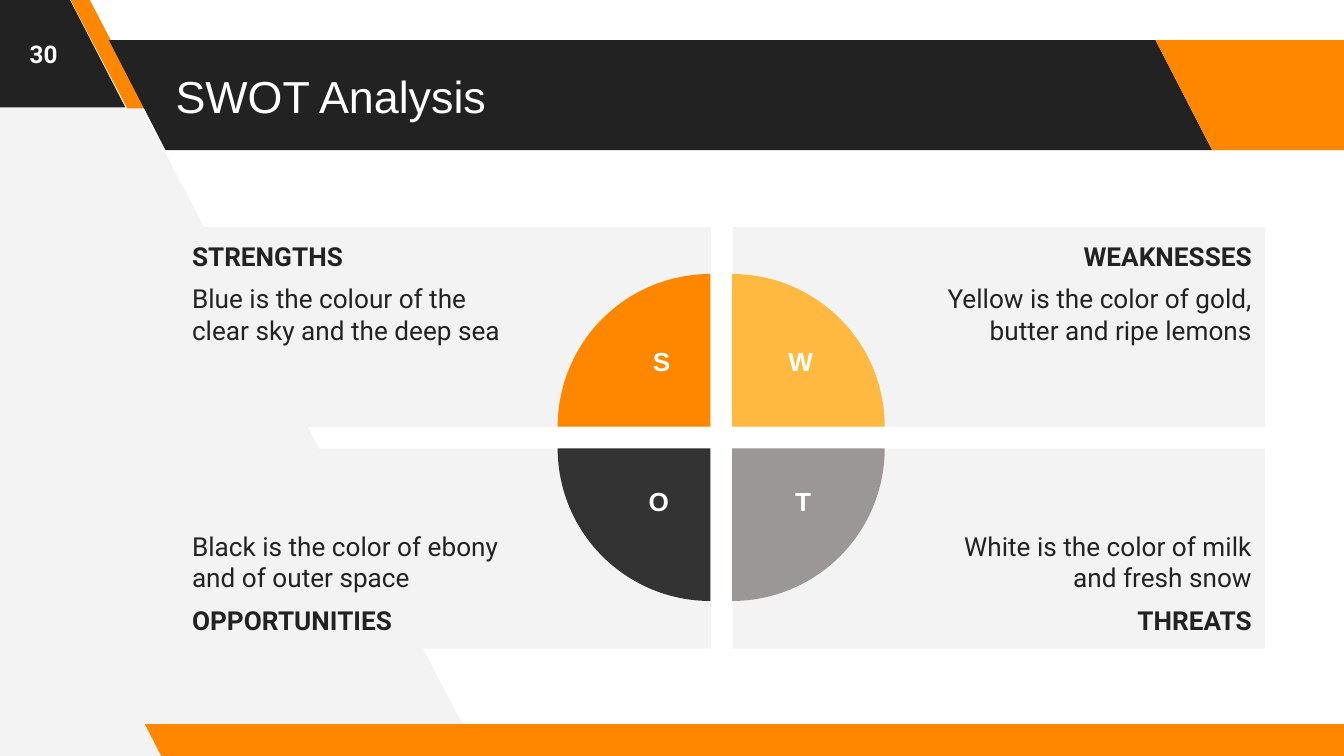
from dataclasses import dataclass

from pptx import Presentation
from pptx.dml.color import RGBColor
from pptx.enum.shapes import MSO_SHAPE
from pptx.enum.text import MSO_ANCHOR, PP_ALIGN
from pptx.util import Cm, Pt

PARALLELOGRAM = MSO_SHAPE.PARALLELOGRAM
PIE = MSO_SHAPE.PIE
RECTANGLE = MSO_SHAPE.RECTANGLE
TOP, MIDDLE, BOTTOM = MSO_ANCHOR.TOP, MSO_ANCHOR.MIDDLE, MSO_ANCHOR.BOTTOM
LEFT, CENTER, RIGHT = PP_ALIGN.LEFT, PP_ALIGN.CENTER, PP_ALIGN.RIGHT

COLORS = {
    "white": "FFFFFF",
    "light": "F3F3F3",
    "dark": "222222",
    "orange": "FF8700",
    "yellow": "FFB840",
    "gray": "9B9796",
    "charcoal": "333333",
}

PANEL_LEFT, PANEL_TOP = 3.38, 4.29
PANEL_WIDTH, PANEL_HEIGHT = 10.06, 3.78
PIE_LEFT, PIE_TOP, PIE_SIZE = 10.54, 5.18, 5.77
GAP = 0.41
INSET, PIE_INSET = 0.25, 3.81


@dataclass
class Box:
    left: float
    top: float
    width: float
    height: float

    def lengths(self) -> tuple:
        return Cm(self.left), Cm(self.top), Cm(self.width), Cm(self.height)


@dataclass
class Band:
    box: Box
    color: str
    slant: float = 0.515


@dataclass
class Quadrant:
    letter: str
    heading: str
    body: str
    column: int
    row: int
    color: str
    rotation: int
    letter_box: Box


BANDS = [
    Band(Box(-2.51, -0.05, 4.88, 2.08), "dark"),
    Band(Box(1.32, -0.03, 1.45, 2.08), "orange", 0.75),
    Band(Box(2.06, 0.76, 20.85, 2.08), "dark"),
    Band(Box(21.84, 0.76, 4.88, 2.08), "orange"),
    Band(Box(2.74, 13.69, 23.24, 0.64), "orange"),
]

QUADRANTS = [
    Quadrant("S", "STRENGTHS", "Blue is the colour of the clear sky and the deep sea",
             0, 0, "orange", 0, Box(12.09, 6.4, 0.69, 1.09)),
    Quadrant("W", "WEAKNESSES", "Yellow is the color of gold, butter and ripe lemons",
             1, 0, "yellow", 90, Box(14.5, 6.4, 1.27, 1.09)),
    Quadrant("T", "THREATS", "White is the color of milk and fresh snow",
             1, 1, "gray", 180, Box(14.78, 9.04, 0.74, 1.07)),
    Quadrant("O", "OPPORTUNITIES", "Black is the color of ebony and of outer space",
             0, 1, "charcoal", 270, Box(12.01, 9.04, 0.69, 1.09)),
]


def paint(shape, color: str) -> None:
    shape.fill.solid()
    shape.fill.fore_color.rgb = RGBColor.from_string(COLORS[color])
    shape.line.fill.background()
    shape.shadow.inherit = False


def add_filled_shape(slide, kind, box: Box, color: str, adjustments=()):
    shape = slide.shapes.add_shape(kind, *box.lengths())
    paint(shape, color)
    for index, value in enumerate(adjustments):
        shape.adjustments[index] = value
    return shape


def set_frame(shape, anchor=TOP, left=INSET, right=INSET, vertical=INSET):
    frame = shape.text_frame
    frame.word_wrap = True
    frame.vertical_anchor = anchor
    frame.margin_left, frame.margin_right = Cm(left), Cm(right)
    frame.margin_top = frame.margin_bottom = Cm(vertical)
    return frame


def write(paragraph, text: str, *, size=14, font="Roboto", color="dark",
          bold=False, align=LEFT, before=0, after=0) -> None:
    paragraph.text = text
    paragraph.alignment = align
    paragraph.space_before, paragraph.space_after = Pt(before), Pt(after)
    paragraph.font.size = Pt(size)
    paragraph.font.name = font
    paragraph.font.bold = bold
    paragraph.font.color.rgb = RGBColor.from_string(COLORS[color])


def add_label(slide, box: Box, text: str, anchor=TOP, vertical=INSET, **text_format) -> None:
    frame = set_frame(slide.shapes.add_textbox(*box.lengths()), anchor, vertical=vertical)
    write(frame.paragraphs[0], text, color="white", **text_format)


def add_background(slide) -> None:
    builder = slide.shapes.build_freeform(Cm(9.04), Cm(14.27))
    corners = [(1.57, -0.1), (-0.15, -0.1), (-0.05, 14.38)]
    builder.add_line_segments([(Cm(x), Cm(y)) for x, y in corners], close=True)
    paint(builder.convert_to_shape(), "light")


def add_band(slide, band: Band) -> None:
    shape = add_filled_shape(slide, PARALLELOGRAM, band.box, band.color, [band.slant])
    shape._element.spPr.xfrm.set("flipH", "1")


def add_panel(slide, quadrant: Quadrant) -> None:
    """Add the text panel, with its heading on the outer edge."""
    box = Box(PANEL_LEFT + quadrant.column * (PANEL_WIDTH + GAP),
              PANEL_TOP + quadrant.row * (PANEL_HEIGHT + GAP),
              PANEL_WIDTH, PANEL_HEIGHT)
    shape = add_filled_shape(slide, RECTANGLE, box, "light")
    on_right, at_bottom = quadrant.column == 1, quadrant.row == 1
    frame = set_frame(shape, BOTTOM if at_bottom else TOP,
                      PIE_INSET if on_right else INSET,
                      INSET if on_right else PIE_INSET)
    align = RIGHT if on_right else LEFT
    lines = [(quadrant.heading, True), (quadrant.body, False)]
    if at_bottom:
        lines.reverse()
    (first, first_bold), (second, second_bold) = lines
    write(frame.paragraphs[0], first, bold=first_bold, align=align)
    write(frame.add_paragraph(), second, bold=second_bold, align=align, before=6, after=6)


def add_pie(slide, quadrant: Quadrant) -> None:
    box = Box(PIE_LEFT + quadrant.column * GAP, PIE_TOP + quadrant.row * GAP,
              PIE_SIZE, PIE_SIZE)
    shape = add_filled_shape(slide, PIE, box, quadrant.color, [108, 162])
    shape.rotation = quadrant.rotation


def main() -> None:
    presentation = Presentation()
    presentation.slide_width, presentation.slide_height = Cm(25.4), Cm(14.29)
    slide = presentation.slides.add_slide(presentation.slide_layouts[6])

    add_background(slide)
    for band in BANDS:
        add_band(slide, band)
    add_label(slide, Box(3.07, 0.76, 18.67, 2.08), "SWOT Analysis", MIDDLE,
              size=24, font="Arial")
    add_label(slide, Box(0, 0, 1.65, 2.03), "30", MIDDLE,
              size=13, bold=True, align=CENTER)

    for quadrant in QUADRANTS:
        add_panel(slide, quadrant)
    for quadrant in QUADRANTS:
        add_pie(slide, quadrant)
    for quadrant in QUADRANTS:
        add_label(slide, quadrant.letter_box, quadrant.letter, vertical=0.13,
                  font="Arial", bold=True, align=CENTER)

    presentation.save("out.pptx")


if __name__ == "__main__":
    main()
